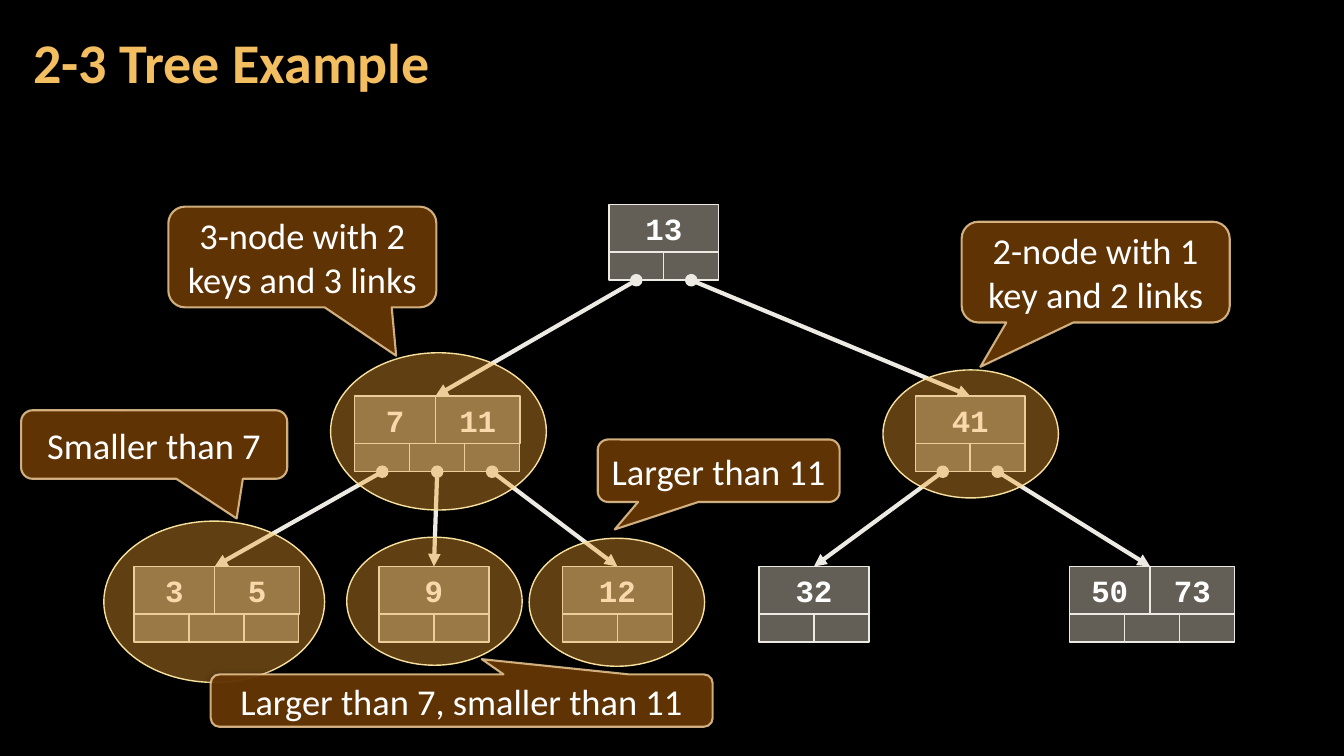
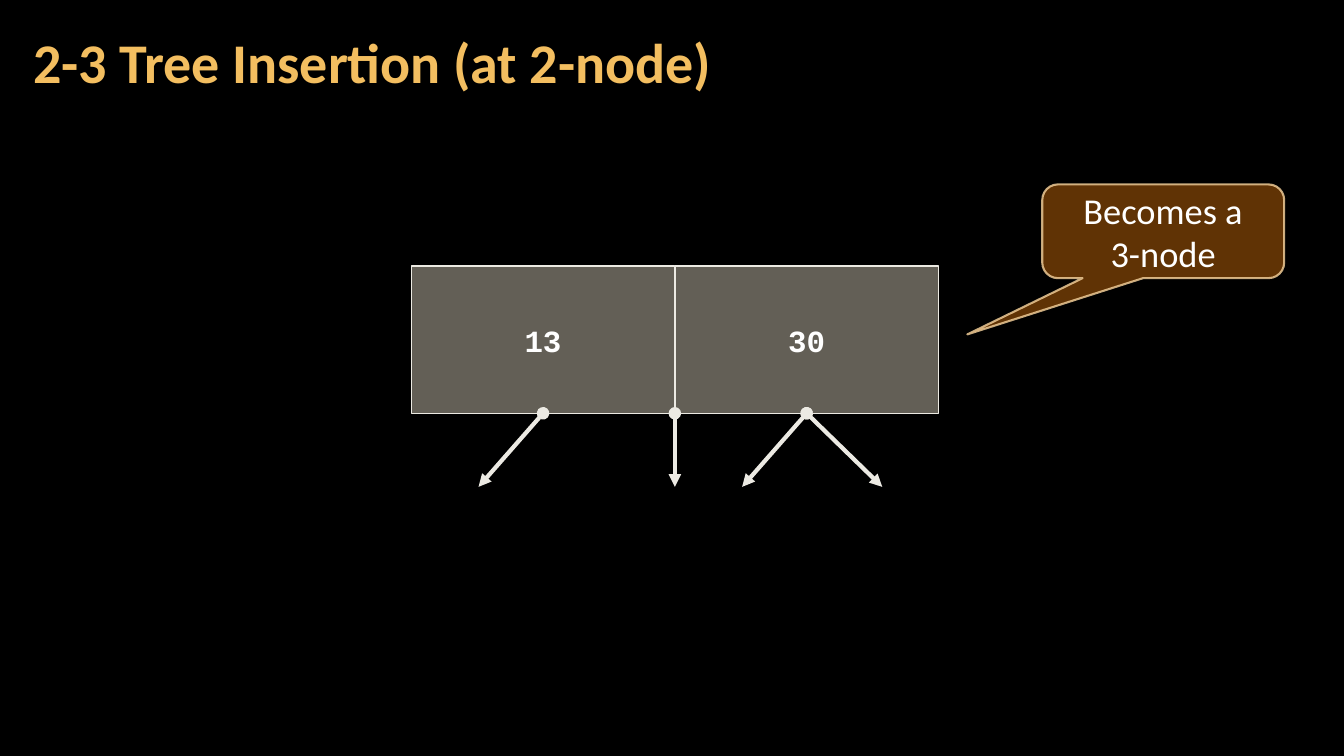
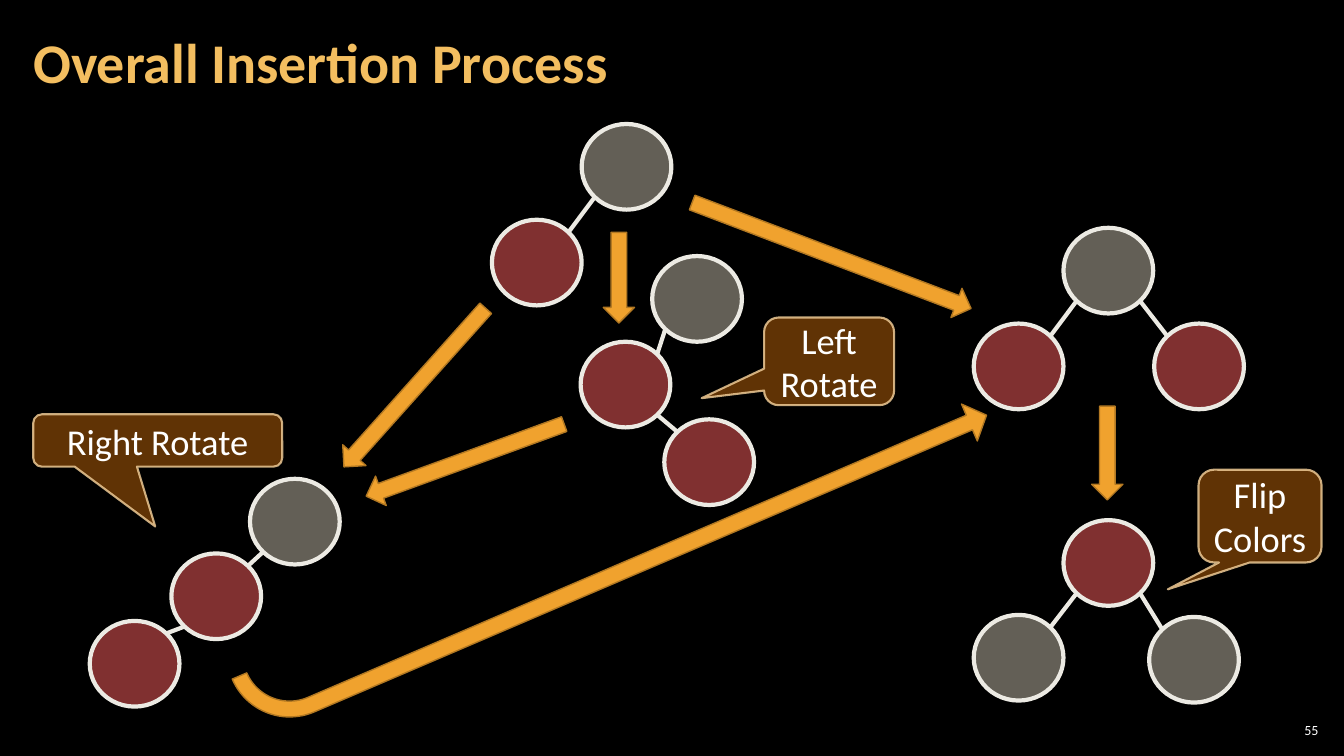
import math

import lxml.etree
import pptx
import pptx.dml.color
import pptx.enum.shapes
import pptx.enum.text
import pptx.oxml.ns
import pptx.util

SHAPES = pptx.enum.shapes.MSO_SHAPE
ALIGN = pptx.enum.text.PP_ALIGN
MIDDLE = pptx.enum.text.MSO_ANCHOR.MIDDLE

# The grid has square cells of a tenth of an inch.
CELL = 0.1
COLUMNS, ROWS = 133.33, 75

BLACK, WHITE, GOLD = "000000", "FFFFFF", "F3BE60"
CREAM, STONE, RED = "ECEAE3", "C7BFAC", "FF6161"
ORANGE, DARK_ORANGE, PALE_YELLOW = "F0A22E", "B27822", "F8E19F"
BROWN, TAN = "663606", "F8D49E"

TITLE_FONT = {"name": "Calibri", "size": pptx.util.Pt(40), "bold": True}
KEY_FONT = {"name": "Courier New", "size": pptx.util.Pt(22), "bold": True}
CALLOUT_FONT = {"name": "Calibri", "size": pptx.util.Pt(26)}
NUMBER_FONT = {"name": "Calibri", "size": pptx.util.Pt(10)}

KEY_HEIGHT, LINK_HEIGHT, LINK_WIDTH = 4.7, 2.8, 5.45
KEY_WIDTHS = {1: (10.9,), 2: (8, 8.4)}
CIRCLE_WIDTH, CIRCLE_HEIGHT = 8.9, 8.5
ARROW_HEIGHT = 3.1

# Each level: top row, then the left column and keys of its nodes.
TREE_LEVELS = [
    (20.3, [(60.4, ["13"])]),
    (39.3, [(35.2, ["7", "11"]), (90.8, ["41"])]),
    (56.2, [(13.3, ["3", "5"]), (37.6, ["9"]), (55.8, ["12"]),
            (75.3, ["32"]), (106.1, ["50", "73"])]),
]


def grid(*cells):
    return [pptx.util.Inches(cell * CELL) for cell in cells]


def rgb(color):
    return pptx.dml.color.RGBColor.from_string(color)


def add_child(parent, tag, **attributes):
    return lxml.etree.SubElement(parent, pptx.oxml.ns.qn(tag), **attributes)


def set_opacity(parent, percent):
    """Make the solid colour directly inside an XML element translucent."""
    color = parent.find(pptx.oxml.ns.qn("a:solidFill"))[0]
    add_child(color, "a:alpha", val=str(percent * 1000))


def style_line(line, color, width):
    line.color.rgb = rgb(color)
    line.width = pptx.util.Pt(width)


def write(shape, text, font, color, align=ALIGN.CENTER, line_spacing=None):
    frame = shape.text_frame
    frame.text = text
    frame.word_wrap = True
    frame.vertical_anchor = MIDDLE
    for paragraph in frame.paragraphs:
        paragraph.alignment = align
        paragraph.line_spacing = line_spacing
        for run in paragraph.runs:
            run.font.color.rgb = rgb(color)
            for name, value in font.items():
                setattr(run.font, name, value)


def add_text(slide, box, text, font, color, insets, **layout):
    shape = slide.shapes.add_textbox(*grid(*box))
    for side, inset in zip(("left", "top", "right", "bottom"), insets):
        setattr(shape.text_frame, f"margin_{side}", pptx.util.Inches(inset))
    write(shape, text, font, color, **layout)


def add_filled(slide, kind, box, fill, line, width, opacity=100):
    shape = slide.shapes.add_shape(kind, *grid(*box))
    shape.shadow.inherit = False
    shape.fill.solid()
    shape.fill.fore_color.rgb = rgb(fill)
    if opacity < 100:
        set_opacity(shape.element.spPr, opacity)
    style_line(shape.line, line, width)
    return shape


def add_line(slide, start, end, arrow=False):
    connector = slide.shapes.add_connector(
        pptx.enum.shapes.MSO_CONNECTOR.STRAIGHT, *grid(*start, *end))
    style_line(connector.line, CREAM, 3)
    properties = connector.element.spPr
    add_child(properties, "a:effectLst")
    if arrow:
        outline = properties.find(pptx.oxml.ns.qn("a:ln"))
        add_child(outline, "a:headEnd", type="oval")
        add_child(outline, "a:tailEnd", type="triangle")
    return connector


def add_cell(slide, box, key=""):
    cell = add_filled(slide, SHAPES.RECTANGLE, box, STONE, CREAM, 1, 50)
    if key:
        write(cell, key, KEY_FONT, WHITE)
    return cell


def add_callout(slide, box, tip, text):
    callout = add_filled(slide, SHAPES.ROUNDED_RECTANGULAR_CALLOUT, box,
                         BROWN, TAN, 1.5, 95)
    callout.adjustments[0], callout.adjustments[1] = tip
    properties = callout.element.spPr
    set_opacity(properties.find(pptx.oxml.ns.qn("a:ln")), 80)
    effects = properties.find(pptx.oxml.ns.qn("a:effectLst"))
    shadow = add_child(effects, "a:outerShdw", blurRad=str(pptx.util.Pt(5)),
                       dist="0", dir="0", algn="ctr", rotWithShape="0")
    color = add_child(shadow, "a:srgbClr", val=BLACK)
    add_child(color, "a:alpha", val="40000")
    write(callout, text, CALLOUT_FONT, WHITE)


def add_tree_node(slide, left, top, keys):
    """Draw a key row over a link row; return the key and link cells."""
    key_cells, key_left = [], left
    for key, width in zip(keys, KEY_WIDTHS[len(keys)]):
        key_cells.append(add_cell(slide, (key_left, top, width, KEY_HEIGHT), key))
        key_left += width
    link_cells = [
        add_cell(slide, (left + index * LINK_WIDTH, top + KEY_HEIGHT,
                         LINK_WIDTH, LINK_HEIGHT))
        for index in range(len(keys) + 1)]
    return key_cells, link_cells


def add_tree(slide):
    """Draw the levels, joining each link to the next node one level down."""
    open_links = []
    for top, nodes in TREE_LEVELS:
        level_links = []
        for index, (left, keys) in enumerate(nodes):
            key_cells, link_cells = add_tree_node(slide, left, top, keys)
            level_links += link_cells
            if open_links:
                end = (left + KEY_WIDTHS[2][0], top)
                edge = add_line(slide, (0, 0), end, arrow=True)
                edge.begin_connect(open_links[index], 2)
                if len(keys) == 1:
                    edge.end_connect(key_cells[0], 0)
        open_links = level_links


def add_circles(slide, circles, edges):
    """Draw coloured circles, and edges from parent to child by index."""
    for left, top, color in circles:
        add_filled(slide, SHAPES.OVAL, (left, top, CIRCLE_WIDTH, CIRCLE_HEIGHT),
                   color, CREAM, 3, 50)
    reach = math.sqrt(0.5) / 2
    for parent, child in edges:
        side = 1 if circles[child][0] > circles[parent][0] else -1
        start, end = [
            (circles[index][0] + CIRCLE_WIDTH * (0.5 + sign * side * reach),
             circles[index][1] + CIRCLE_HEIGHT * (0.5 + sign * reach))
            for index, sign in ((parent, 1), (child, -1))]
        add_line(slide, start, end)


def add_block_arrow(slide, left, top, width, rotation):
    arrow = add_filled(slide, SHAPES.RIGHT_ARROW, (left, top, width, ARROW_HEIGHT),
                       ORANGE, DARK_ORANGE, 1)
    arrow.rotation = rotation


def add_bent_arrow(slide):
    arrow = add_filled(slide, SHAPES.BENT_ARROW, (21.3, 51.5, 79.1, 7.4),
                       ORANGE, DARK_ORANGE, 1)
    for index, value in enumerate((0.212, 0.269, 0.25, 0.856)):
        arrow.adjustments[index] = value
    arrow.rotation = 336.8
    arrow.element.spPr.xfrm.set("flipV", "1")


def add_slide(presentation, title):
    slide = presentation.slides.add_slide(presentation.slide_layouts[6])
    slide.background.fill.solid()
    slide.background.fill.fore_color.rgb = rgb(BLACK)
    add_text(slide, (2.1, 0.4, 104.7, 12.1), title, TITLE_FONT, GOLD,
             (0.12, 0.04, 0.12, 0.04), align=ALIGN.LEFT, line_spacing=0.9)
    return slide


def build_example(presentation):
    slide = add_slide(presentation, "2-3 Tree Example")
    add_tree(slide)
    for box in [(32.8, 35, 21.4, 15.6), (87.6, 36.7, 17.4, 12.7),
                (52.5, 53.4, 17.4, 12.7), (34.4, 53.3, 17.4, 12.7),
                (10.3, 51.7, 21.9, 16)]:
        add_filled(slide, SHAPES.OVAL, box, ORANGE, PALE_YELLOW, 1, 40)
    for box, tip, text in [
            ((16.7, 20.5, 26.6, 10), (0.35, 0.98), "3-node with 2 keys and 3 links"),
            ((95.4, 22, 26.6, 10), (-0.43, 0.94), "2-node with 1 key and 2 links"),
            ((59.3, 43.6, 24, 6.2), (-0.43, 0.94), "Larger than 11"),
            ((2.1, 40.7, 26.4, 6.8), (0.31, 1.08), "Smaller than 7"),
            ((20.9, 66.9, 49.8, 5.2), (0.04, -0.79), "Larger than 7, smaller than 11")]:
        add_callout(slide, box, tip, text)


def build_insertion(presentation):
    slide = add_slide(presentation, "2-3 Tree Insertion (at 2-node)")
    left, top, width, height = 40.8, 26.4, 26.15, 14.6
    bottom, drop = top + height, 7.3
    cells = [add_cell(slide, (left + index * width, top, width, height), key)
             for index, key in enumerate(("13", "30"))]
    for cell, shift in [(0, -6.4), (1, 7.5), (1, -6.4)]:
        middle = left + (cell + 0.5) * width
        arrow = add_line(slide, (middle, bottom), (middle + shift, bottom + drop),
                         arrow=True)
        arrow.begin_connect(cells[cell], 2)
    add_line(slide, (left + width, bottom), (left + width, bottom + drop), arrow=True)
    add_callout(slide, (103.4, 18.3, 24, 9.3), (-0.81, 1.1), "Becomes a\v3-node")


def build_process(presentation):
    slide = add_slide(presentation, "Overall Insertion Process")
    add_text(slide, (126.5, 71.4, 4.7, 2.1), "55", NUMBER_FONT, WHITE,
             (0.04,) * 4, align=ALIGN.RIGHT)
    fork, chain = [(0, 1), (0, 2)], [(0, 1), (1, 2)]
    for circles, edges in [
            ([(57.7, 12.3, STONE), (48.8, 21.8, RED)], [(0, 1)]),
            ([(24.8, 47.5, STONE), (17, 54.9, RED), (8.9, 61.6, RED)], chain),
            ([(64.7, 25.4, STONE), (57.6, 33.9, RED), (65.9, 41.6, RED)], chain),
            ([(105.5, 22.6, STONE), (96.6, 32.1, RED), (114.5, 32.1, RED)], fork),
            ([(105.5, 51.6, RED), (96.6, 61, STONE), (114, 61.2, STONE)], fork)]:
        add_circles(slide, circles, edges)
    for arrow in [(67.7, 23.8, 29.6, 20.8), (30.6, 36.9, 21.1, 131.8),
                  (56.9, 26, 9, 90), (35.7, 44.1, 20.9, 160),
                  (105.2, 43.4, 9.3, 90)]:
        add_block_arrow(slide, *arrow)
    add_bent_arrow(slide)
    for box, tip, text in [
            ((3.3, 41.1, 24.7, 5.2), (-0.01, 1.64), "Right Rotate"),
            ((75.8, 31.5, 12.9, 8.7), (-0.98, 0.42), "Left\nRotate"),
            ((118.9, 46.6, 12.2, 9.2), (-0.75, 0.79), "Flip\nColors")]:
        add_callout(slide, box, tip, text)


def main():
    presentation = pptx.Presentation()
    presentation.slide_width, presentation.slide_height = grid(COLUMNS, ROWS)
    build_example(presentation)
    build_insertion(presentation)
    build_process(presentation)
    presentation.save("out.pptx")


if __name__ == "__main__":
    main()
